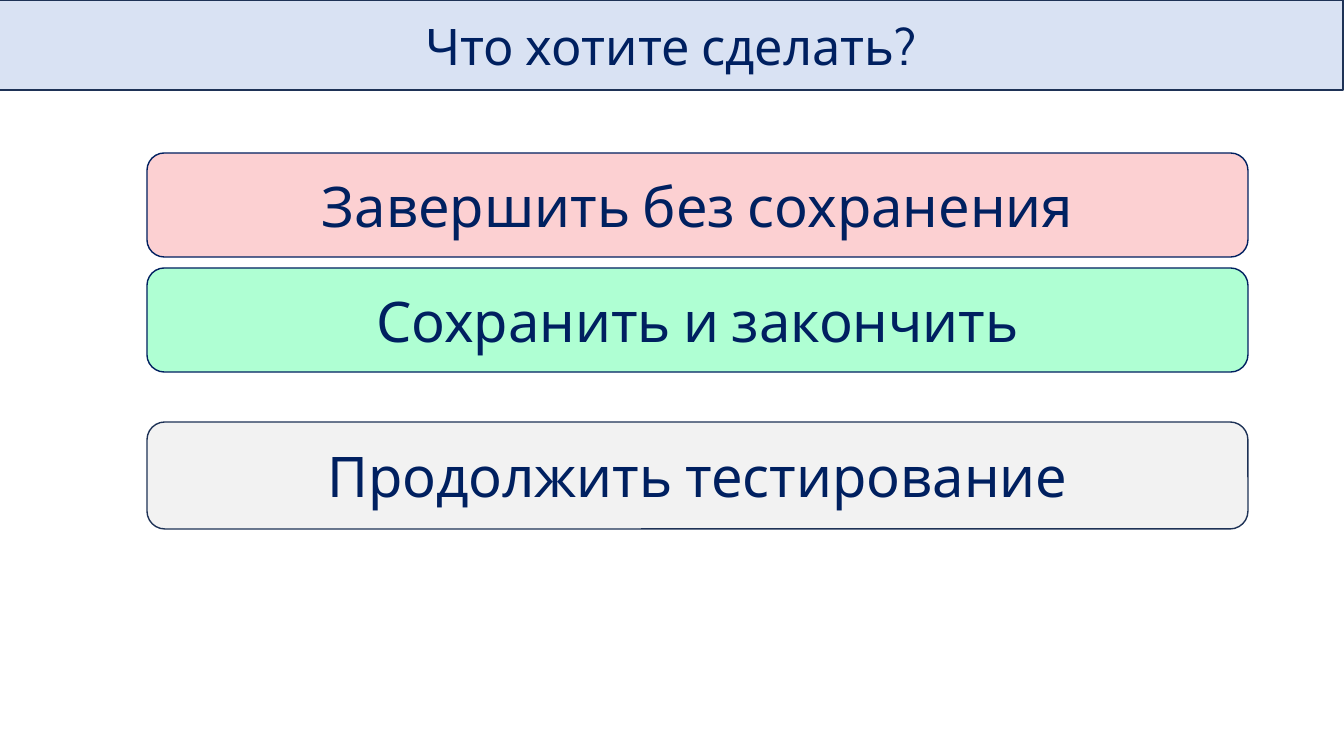
from pptx import Presentation
from pptx.dml.color import RGBColor
from pptx.enum.shapes import MSO_SHAPE
from pptx.enum.text import MSO_ANCHOR, PP_ALIGN
from pptx.util import Pt

ROUNDED = MSO_SHAPE.ROUNDED_RECTANGLE
MIDDLE = MSO_ANCHOR.MIDDLE
CENTER = PP_ALIGN.CENTER

SLIDE_WIDTH, SLIDE_HEIGHT = 1344, 756
EMU_PER_PX = 914400 / 100.8
FONT = "Cabin"
NAVY = "002060"
SLATE = "1E3256"

BUTTONS = [
    ("Завершить без сохранения", 0, 104, "FCD0D2", NAVY),
    ("Сохранить и закончить", 115, 104, "AFFFD3", NAVY),
    ("Продолжить тестирование", 269, 107, "F2F2F2", SLATE),
]


def px(length):
    return round(length * EMU_PER_PX)


def color(value):
    return RGBColor.from_string(value)


def write_text(shape, text, size=40, font=FONT, text_color=NAVY):
    frame = shape.text_frame
    frame.word_wrap = True
    frame.vertical_anchor = MIDDLE
    paragraph = frame.paragraphs[0]
    paragraph.alignment = CENTER
    run = paragraph.add_run()
    run.text = text
    run.font.size = Pt(size)
    run.font.name = font
    run.font.color.rgb = color(text_color)


def add_panel(slide, box, fill, line):
    shape = slide.shapes.add_shape(ROUNDED, *map(px, box))
    shape.shadow.inherit = False
    shape.fill.solid()
    shape.fill.fore_color.rgb = color(fill)
    shape.line.color.rgb = color(line)
    shape.line.width = Pt(1)
    return shape


def add_title_bar(slide, box):
    bar = add_panel(slide, box, "D9E2F3", SLATE)
    bar.adjustments[0] = 0
    write_text(bar, "Что хотите сделать?", size=36)


def add_buttons(slide, left, top, width):
    for text, offset, height, fill, line in BUTTONS:
        button = add_panel(slide, (left, top + offset, width, height), fill, line)
        write_text(button, text)


def main():
    presentation = Presentation()
    presentation.slide_width = px(SLIDE_WIDTH)
    presentation.slide_height = px(SLIDE_HEIGHT)
    slide = presentation.slides.add_slide(presentation.slide_layouts[6])
    add_title_bar(slide, (-1, 0, SLIDE_WIDTH, 90))
    add_buttons(slide, 147, 153, 1101)
    presentation.save("out.pptx")


if __name__ == "__main__":
    main()
